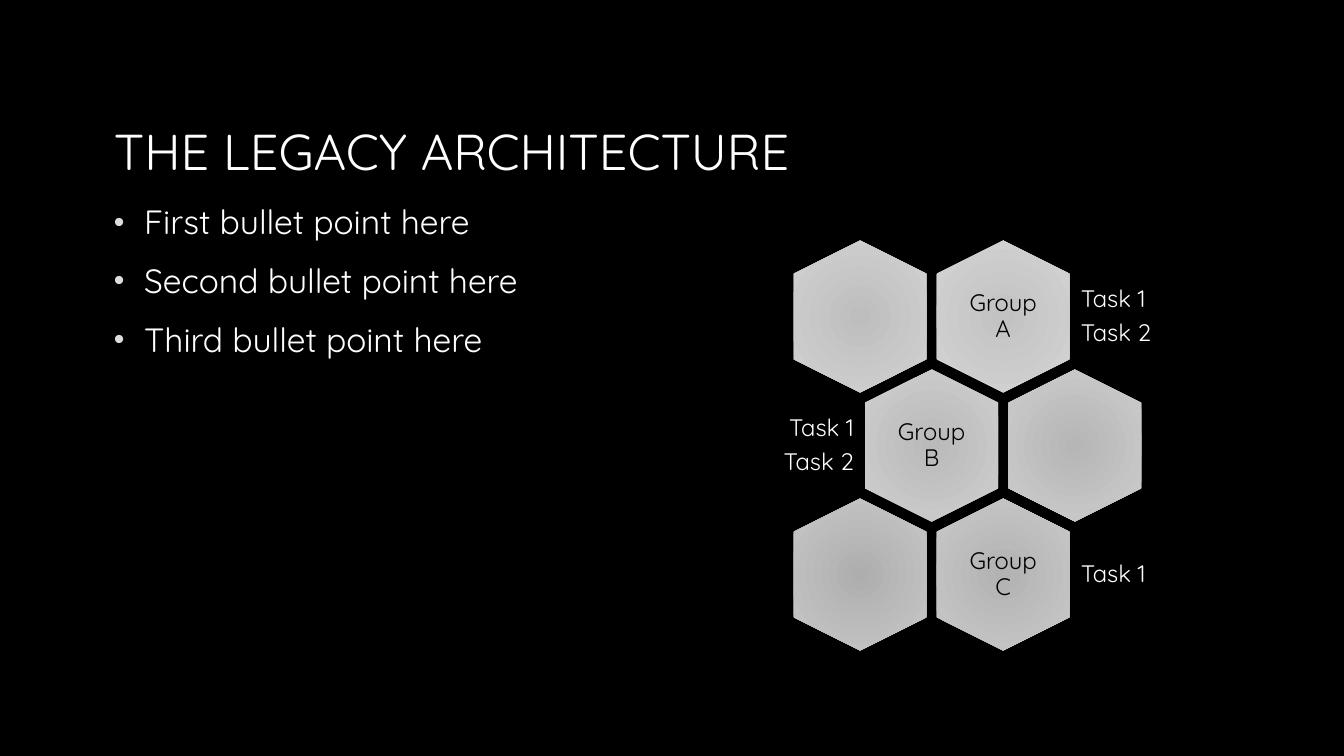
from dataclasses import dataclass

from lxml import etree
from pptx import Presentation
from pptx import util as u
from pptx.dml.color import RGBColor
from pptx.enum import shapes, text
from pptx.oxml import ns
from pptx.slide import Slide
from pptx.text.text import TextFrame, _Paragraph


@dataclass(frozen=True)
class Theme:
    font: str = "Quicksand"
    background: str = "000000"
    light: str = "FFFFFF"
    dark: str = "000000"
    bullet: str = "DDDDDD"
    title_size: float = 36
    body_size: float = 24
    label_size: float = 17


@dataclass(frozen=True)
class Cell:
    row: int
    column: int
    inner: str
    outer: str
    group: str = ""
    tasks: tuple[str, ...] = ()


THEME = Theme()
CELLS = (
    Cell(0, 1, "C2C2C2", "D4D4D4", "Group A", ("Task 1", "Task 2")),
    Cell(0, 0, "BEBEBE", "D2D2D2"),
    Cell(1, 0, "BABABA", "CFCFCF", "Group B", ("Task 1", "Task 2")),
    Cell(1, 1, "B6B6B6", "CDCDCD"),
    Cell(2, 1, "B2B2B2", "CACACA", "Group C", ("Task 1",)),
    Cell(2, 0, "AEAEAE", "C8C8C8"),
)
BULLETS = ("First bullet point here", "Second bullet point here", "Third bullet point here")

FIRST_X, FIRST_Y = 8.53, 3.14
COLUMN_STEP, ROW_STEP = 1.42, 1.28
HEX_LENGTH, HEX_WIDTH = 1.51, 1.32
GROUP_WIDTH, GROUP_HEIGHT = 0.91, 1.04
TASK_WIDTH, TASK_HEIGHT, TASK_OFFSET = 1.69, 0.91, 0.7


def set_frame(frame: TextFrame, anchor: text.MSO_ANCHOR, side: float = 0.07) -> None:
    frame.word_wrap = True
    frame.auto_size = text.MSO_AUTO_SIZE.NONE
    frame.vertical_anchor = anchor
    frame.margin_left = frame.margin_right = u.Inches(side)
    frame.margin_top = frame.margin_bottom = u.Inches(0.07)


def style_paragraph(para: _Paragraph, size: float, color: str, align: text.PP_ALIGN,
                    spacing: float = 0.9) -> None:
    para.alignment = align
    para.line_spacing = spacing
    para.font.name = THEME.font
    para.font.size = u.Pt(size)
    para.font.color.rgb = RGBColor.from_string(color)


def add_bullet(para: _Paragraph) -> None:
    properties = para._p.get_or_add_pPr()
    properties.set("marL", str(u.Inches(0.3)))
    properties.set("indent", str(u.Inches(-0.3)))
    color = etree.SubElement(properties, ns.qn("a:buClr"))
    etree.SubElement(color, ns.qn("a:srgbClr"), val=THEME.bullet)
    etree.SubElement(properties, ns.qn("a:buSzPct"), val="90000")
    etree.SubElement(properties, ns.qn("a:buFont"), typeface="Arial")
    etree.SubElement(properties, ns.qn("a:buChar"), char="•")
    defaults = properties.find(ns.qn("a:defRPr"))
    if defaults is not None:
        properties.append(defaults)


def add_title(page: Slide, wording: str) -> None:
    title = page.shapes.title
    title.left, title.top = u.Inches(1), u.Inches(0.53)
    title.width, title.height = u.Inches(11.33), u.Inches(1.33)
    title.text_frame.text = wording
    set_frame(title.text_frame, text.MSO_ANCHOR.BOTTOM, 0.13)
    style_paragraph(title.text_frame.paragraphs[0], THEME.title_size, THEME.light,
                    text.PP_ALIGN.LEFT, 0.8)


def add_bullets(page: Slide, lines: tuple[str, ...]) -> None:
    box = page.shapes.add_textbox(u.Inches(1), u.Inches(1.97), u.Inches(5.44), u.Inches(4.89))
    box.text_frame.text = "\n".join(lines)
    set_frame(box.text_frame, text.MSO_ANCHOR.TOP, 0.13)
    for para in box.text_frame.paragraphs:
        style_paragraph(para, THEME.body_size, THEME.light, text.PP_ALIGN.LEFT)
        para.space_before = u.Pt(16)
        add_bullet(para)


def add_label(page: Slide, lines: tuple[str, ...], left: float, middle: float, width: float,
              height: float, color: str, align: text.PP_ALIGN) -> None:
    box = page.shapes.add_textbox(u.Inches(left), u.Inches(middle - height / 2),
                                  u.Inches(width), u.Inches(height))
    box.text_frame.text = "\n".join(lines)
    set_frame(box.text_frame, text.MSO_ANCHOR.MIDDLE)
    for para in box.text_frame.paragraphs:
        style_paragraph(para, THEME.label_size, color, align)
        para.space_after = u.Pt(6)


def add_hexagon(page: Slide, x: float, y: float, inner: str, outer: str) -> None:
    hexagon = page.shapes.add_shape(
        shapes.MSO_SHAPE.HEXAGON, u.Inches(x - HEX_LENGTH / 2), u.Inches(y - HEX_WIDTH / 2),
        u.Inches(HEX_LENGTH), u.Inches(HEX_WIDTH))
    hexagon.rotation = 90
    hexagon.adjustments[0] = 0.25
    hexagon.adjustments[1] = 1.1547
    hexagon.shadow.inherit = False
    hexagon.line.fill.background()
    hexagon.fill.gradient()
    for stop, color in zip(hexagon.fill.gradient_stops, (inner, outer)):
        stop.color.rgb = RGBColor.from_string(color)
    gradient = hexagon._element.spPr.find(ns.qn("a:gradFill"))
    gradient.remove(gradient.find(ns.qn("a:lin")))
    circle = etree.SubElement(gradient, ns.qn("a:path"), {"path": "circle"})
    etree.SubElement(circle, ns.qn("a:fillToRect"), {side: "100000" for side in "ltrb"})


def add_cell(page: Slide, cell: Cell) -> None:
    shifted = cell.row % 2 == 1
    x = FIRST_X + COLUMN_STEP * (cell.column + shifted / 2)
    y = FIRST_Y + ROW_STEP * cell.row
    add_hexagon(page, x, y, cell.inner, cell.outer)
    if cell.group:
        add_label(page, (cell.group,), x - GROUP_WIDTH / 2, y, GROUP_WIDTH, GROUP_HEIGHT,
                  THEME.dark, text.PP_ALIGN.CENTER)
    if cell.tasks:
        left = x - TASK_OFFSET - TASK_WIDTH if shifted else x + TASK_OFFSET
        align = text.PP_ALIGN.RIGHT if shifted else text.PP_ALIGN.LEFT
        add_label(page, cell.tasks, left, y, TASK_WIDTH, TASK_HEIGHT, THEME.light, align)


def main() -> None:
    deck = Presentation()
    deck.slide_width, deck.slide_height = u.Inches(13.33), u.Inches(7.5)
    page = deck.slides.add_slide(deck.slide_layouts[5])
    page.background.fill.solid()
    page.background.fill.fore_color.rgb = RGBColor.from_string(THEME.background)
    add_title(page, "THE LEGACY ARCHITECTURE")
    add_bullets(page, BULLETS)
    for cell in CELLS:
        add_cell(page, cell)
    deck.save("out.pptx")


if __name__ == "__main__":
    main()
